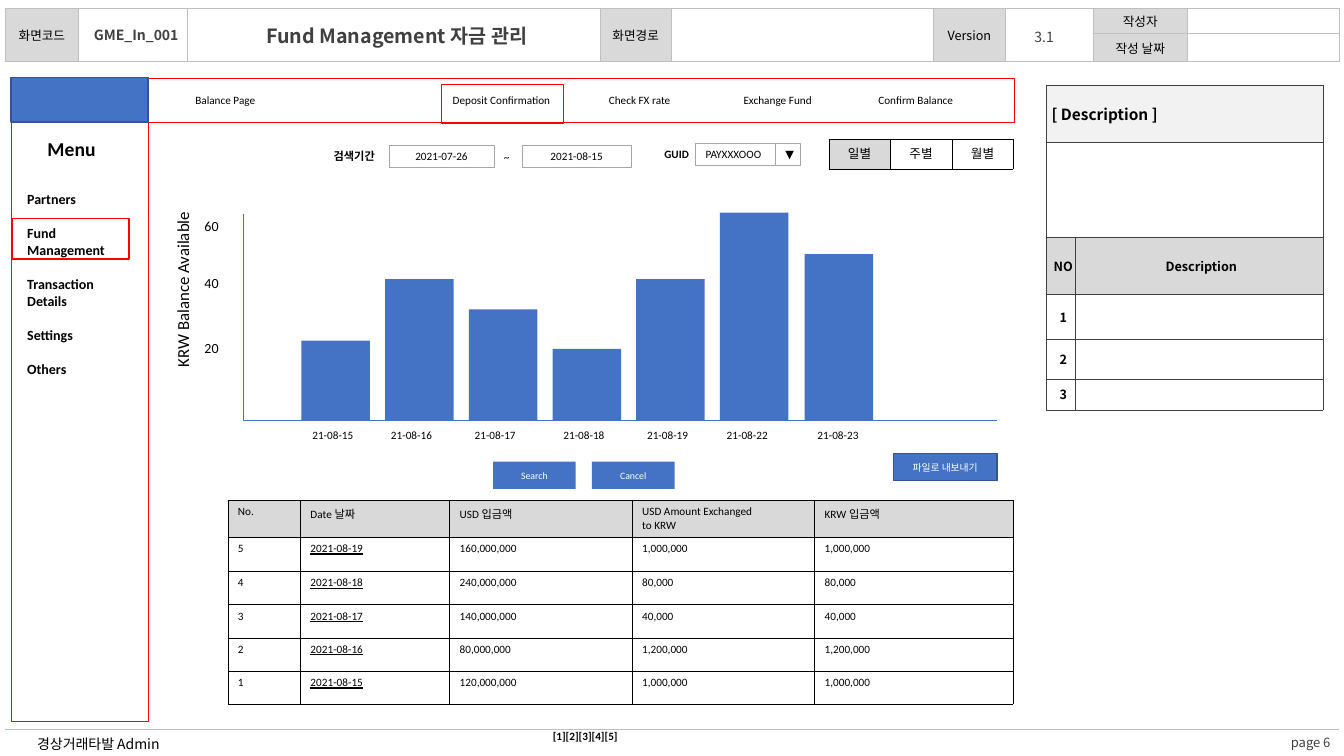
from lxml import etree
from pptx import Presentation
from pptx import util as u
from pptx.dml.color import RGBColor
from pptx.enum import shapes, text
from pptx.oxml.ns import qn

PX = 9144
BLACK = RGBColor(0x00, 0x00, 0x00)
WHITE = RGBColor(0xFF, 0xFF, 0xFF)
INK = RGBColor(0x40, 0x40, 0x40)
GREY = RGBColor(0xD9, 0xD9, 0xD9)
PALE = RGBColor(0xF2, 0xF2, 0xF2)
RULE = RGBColor(0xBF, 0xBF, 0xBF)
FIELD_LINE = RGBColor(0xA6, 0xA6, 0xA6)
BLUE = RGBColor(0x44, 0x72, 0xC4)
NAVY = RGBColor(0x32, 0x54, 0x91)
RED = RGBColor(0xFF, 0x00, 0x00)
LATIN, HANGUL = "Calibri", "Noto Sans CJK KR"
LEFT, CENTER = text.PP_ALIGN.LEFT, text.PP_ALIGN.CENTER
MIDDLE, TOP = text.MSO_ANCHOR.MIDDLE, text.MSO_ANCHOR.TOP


def px(*lengths):
    """Turn pixel lengths into EMU."""
    return [u.Emu(length * PX) for length in lengths]


def write(frame, words, size, color=BLACK, font=LATIN, bold=False, align=LEFT,
          underline=False, gap=0):
    """Fill a text frame, one paragraph a line, and format its runs."""
    frame.text = words
    for index, paragraph in enumerate(frame.paragraphs):
        paragraph.alignment = align
        if index and gap:
            paragraph.space_before = u.Pt(gap)
        for run in paragraph.runs:
            run.font.size, run.font.bold = u.Pt(size), bold
            run.font.underline = underline
            run.font.color.rgb = color
            run.font.name = font
            etree.SubElement(run._r.rPr, qn("a:ea"), typeface=HANGUL)
        if not paragraph.runs:
            etree.SubElement(paragraph._p, qn("a:endParaRPr"), sz=str(int(size * 100)))


def set_insets(target, insets):
    """Set the left, top, right and bottom insets of a frame or cell."""
    (target.margin_left, target.margin_top,
     target.margin_right, target.margin_bottom) = px(*insets)


def label(slide, box, words, size, wrap=False, anchor=TOP, insets=(10, 5, 10, 5), **style):
    """Add a text box."""
    area = slide.shapes.add_textbox(*px(*box))
    area.text_frame.word_wrap = wrap
    area.text_frame.vertical_anchor = anchor
    set_insets(area.text_frame, insets)
    write(area.text_frame, words, size, **style)
    return area


def block(slide, box, fill=None, line=None, width=0.25, words="", size=8, **style):
    """Add a rectangle, with text if any is given."""
    rect = slide.shapes.add_shape(shapes.MSO_SHAPE.RECTANGLE, *px(*box))
    rect.shadow.inherit = False
    if fill is None:
        rect.fill.background()
    else:
        rect.fill.solid()
        rect.fill.fore_color.rgb = fill
    if line is None:
        rect.line.fill.background()
    else:
        rect.line.color.rgb = line
        rect.line.width = u.Pt(width)
    if words:
        rect.text_frame.vertical_anchor = MIDDLE
        write(rect.text_frame, words, size, **{"align": CENTER, **style})


def set_borders(cell, color, sides="LRTB"):
    """Draw hairlines on the given sides of a cell and none on the others."""
    for side in "LRTB":
        edge = etree.SubElement(cell._tc.get_or_add_tcPr(), qn(f"a:ln{side}"), w="3175")
        if color is None or side not in sides:
            etree.SubElement(edge, qn("a:noFill"))
        else:
            solid = etree.SubElement(edge, qn("a:solidFill"))
            etree.SubElement(solid, qn("a:srgbClr"), val=str(color))


def grid(slide, left, top, cols, rows, border=None, open_row=None):
    """Add a plain table with uniform borders; an open row has no side borders."""
    box = px(left, top, sum(cols), sum(rows))
    table = slide.shapes.add_table(len(rows), len(cols), *box).table
    table.first_row = table.horz_banding = False
    for column, width in zip(table.columns, px(*cols)):
        column.width = width
    for index, (row, height) in enumerate(zip(table.rows, px(*rows))):
        row.height = height
        for cell in row.cells:
            set_borders(cell, border, "TB" if index == open_row else "LRTB")
    return table


def fill_cell(cell, words, size, fill=None, anchor=TOP, insets=(10, 5, 10, 5), **style):
    """Set the fill, insets and text of a cell."""
    if fill is None:
        cell.fill.background()
    else:
        cell.fill.solid()
        cell.fill.fore_color.rgb = fill
    cell.vertical_anchor = anchor
    set_insets(cell, insets)
    write(cell.text_frame, words, size, **style)


def header(slide, left, top):
    """Draw the document strip and the page rule below the content."""
    table = grid(slide, left, top, [73, 108, 409, 71, 260, 71, 87, 94, 150],
                 [25, 28, 662], RULE, open_row=2)
    captions = {(0, 0): "화면코드", (0, 3): "화면경로", (0, 5): "Version",
                (0, 7): "작성자", (1, 7): "작성 날짜"}
    for row in range(3):
        for col in range(9):
            words = captions.get((row, col), "")
            fill_cell(table.cell(row, col), words, 9, GREY if words else None, MIDDLE,
                      (1, 1, 1, 0), font=HANGUL, align=CENTER)
    for col in range(7):
        table.cell(0, col).merge(table.cell(1, col))
    table.cell(2, 0).merge(table.cell(2, 8))
    for x, y, width, words, size, bold in [
            (73, 13, 124, "GME_In_001", 10, True),
            (189, 11, 409, "Fund Management 자금 관리", 14, True),
            (1000, 15, 71, "3.1", 10, False)]:
        label(slide, (left + x, top + y, width, 27), words, size, True, insets=(0, 5, 10, 5),
              color=INK, font=HANGUL, bold=bold, align=CENTER)


def footer(slide, left, top):
    """Place the system name, pager and page number."""
    label(slide, (left + 22, top + 6, 300, 25), "경상거래타발 Admin", 10, True, MIDDLE, font=HANGUL)
    label(slide, (left + 528, top, 95, 24), "[1][2][3][4][5]", 8, bold=True, align=CENTER)
    label(slide, (left + 1262, top + 4, 66, 26), "page 6", 9.3, anchor=MIDDLE,
          color=INK, font=HANGUL, align=CENTER)


def navigation(slide, left, top, width, height):
    """Draw the tab bar with the current tab outlined."""
    block(slide, (left, top, width, height), WHITE, RED)
    tabs = ["Balance Page", "", "Deposit Confirmation", "Check FX rate",
            "Exchange Fund", "Confirm Balance"]
    table = grid(slide, left + 144, top + 7, [137] * len(tabs), [30])
    for cell, words in zip(table.rows[0].cells, tabs):
        fill_cell(cell, words, 8, WHITE, MIDDLE, align=CENTER)
    block(slide, (left + 427, top + 6, 121, 38), line=RED, width=1)


def sidebar(slide, left, top, width, height):
    """Draw the menu column with the current entry outlined."""
    block(slide, (left, top + 19, width, height - 19), WHITE, RED)
    block(slide, (left, top, width, 44), BLUE, NAVY, 1)
    table = grid(slide, left + 6, top + 81, [116], [27, 243])
    entries = ["Partners", "Fund Management", "Transaction Details", "Settings", "Others"]
    fill_cell(table.cell(0, 0), "", 10, WHITE)
    fill_cell(table.cell(1, 0), "\n".join(entries), 10, WHITE, bold=True, gap=12.2)
    block(slide, (left + 1, top + 140, 116, 40), line=RED, width=1)
    label(slide, (left + 23, top + 54, 74, 34), "Menu", 14, bold=True, align=CENTER)


def filters(slide, left, top):
    """Place the search period, the GUID picker and the interval switch."""
    label(slide, (left, top + 5, 62, 24), "검색기간", 8, bold=True)
    label(slide, (left + 169, top + 6, 43, 24), "~", 8, True)
    label(slide, (left + 328, top + 3, 48, 24), "GUID", 8, bold=True)
    for x, y, width, words, align in [
            (65, 6, 104, "2021-07-26", CENTER), (197, 6, 108, "2021-08-15", CENTER),
            (369, 4, 104, "PAYXXXOOO", LEFT), (448, 4, 25, "▼", CENTER)]:
        block(slide, (left + x, top + y, width, 22), WHITE, FIELD_LINE, words=words, align=align)
    table = grid(slide, left + 501, top, [61] * 3, [30], BLACK)
    for cell, words, fill in zip(table.rows[0].cells, ["일별", "주별", "월별"], [GREY, WHITE, WHITE]):
        fill_cell(cell, words, 9, fill, align=CENTER)


def balance_chart(slide, left, top, width, height):
    """Draw the sketched bar chart and the buttons below it."""
    base = top + height
    for start in [(left, top), (left + width, base)]:
        axis = slide.shapes.add_connector(shapes.MSO_CONNECTOR.STRAIGHT,
                                          *px(*start, left, base))
        axis.line.color.rgb, axis.line.width = BLUE, u.Pt(0.5)
        etree.SubElement(axis._element.spPr, qn("a:effectLst"))
    days = [("15", 59, 79), ("16", 137, 140), ("17", 220, 110), ("18", 308, 71),
            ("19", 391, 140), ("22", 470, 206), ("23", 560, 165)]
    for index, (day, label_left, bar) in enumerate(days):
        block(slide, (left + 58 + 499 * index // 6, base - bar, 68, bar), BLUE)
        label(slide, (left + label_left, base + 3, 66, 24), f"21-08-{day}", 8)
    for mark, y in [("60", -1), ("40", 55), ("20", 120)]:
        label(slide, (left - 48, top + y, 37, 27), mark, 10)
    title = label(slide, (left - 168, top + 39, 216, 30), "KRW Balance Available", 12, True)
    title.rotation = 270
    for x, y, size, words, line in [(248, 41, 82, "Search", None), (346, 41, 82, "Cancel", None),
                                    (645, 33, 103, "파일로 내보내기", NAVY)]:
        block(slide, (left + x, base + y, size, 27), BLUE, line, 1, words, 7, color=WHITE)


def deposits(slide, left, top):
    """Fill the table of deposits."""
    records = [
        ("No.", "Date 날짜", "USD 입금액", "USD Amount Exchanged\nto KRW", "KRW 입금액"),
        ("5", "2021-08-19", "160,000,000", "1,000,000", "1,000,000"),
        ("4", "2021-08-18", "240,000,000", "80,000", "80,000"),
        ("3", "2021-08-17", "140,000,000", "40,000", "40,000"),
        ("2", "2021-08-16", "80,000,000", "1,200,000", "1,200,000"),
        ("1", "2021-08-15", "120,000,000", "1,000,000", "1,000,000")]
    table = grid(slide, left, top, [72, 148, 181, 181, 197], [36, 34] + [33] * 4, BLACK)
    for row, record in enumerate(records):
        for col, words in enumerate(record):
            fill_cell(table.cell(row, col), words, 8, WHITE if row else GREY,
                      underline=row > 0 and col == 1)


def description(slide, left, top):
    """Draw the panel of numbered remarks."""
    table = grid(slide, left, top, [28, 246], [57, 94, 57, 45, 39, 31], INK)
    rows = [("[ Description ]", "", PALE), ("", "", WHITE), ("NO", "Description", GREY),
            ("1", "", None), ("2", "", None), ("3", "", None)]
    for row, (number, remark, fill) in enumerate(rows):
        for col, words in enumerate((number, remark)):
            fill_cell(table.cell(row, col), words, 9 if row else 11, fill, MIDDLE, (5, 0, 0, 0),
                      font=HANGUL, bold=True, align=CENTER if row else LEFT)
    for row in range(2):
        table.cell(row, 0).merge(table.cell(row, 1))


def main():
    """Build the screen specification slide."""
    deck = Presentation()
    deck.slide_width, deck.slide_height = px(1333, 750)
    slide = deck.slides.add_slide(deck.slide_layouts[6])
    header(slide, 5, 8)
    footer(slide, 5, 719)
    navigation(slide, 11, 78, 995, 43)
    description(slide, 1038, 84)
    sidebar(slide, 11, 77, 136, 639)
    filters(slide, 321, 138)
    balance_chart(slide, 241, 212, 748, 205)
    deposits(slide, 226, 496)
    deck.save("out.pptx")


if __name__ == "__main__":
    main()
